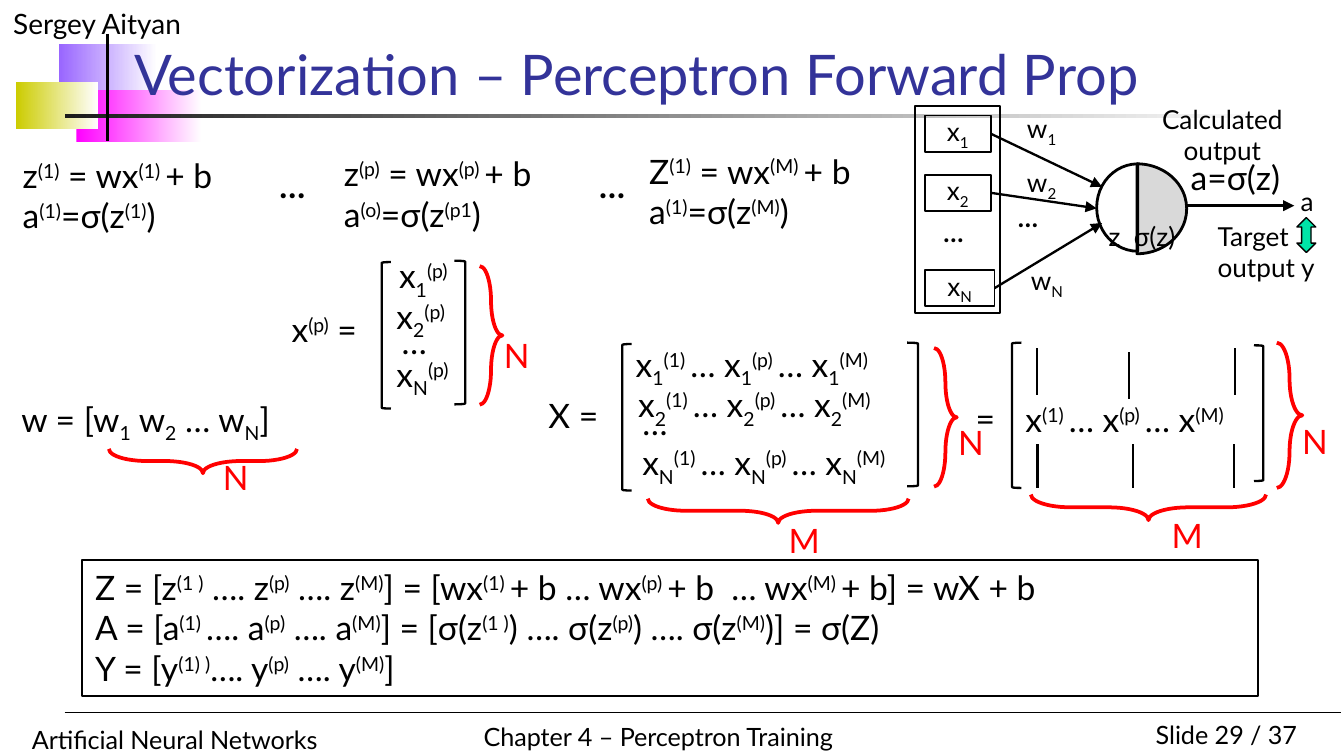
from lxml import etree
from pptx import Presentation
from pptx import util as u
from pptx.dml.color import RGBColor
from pptx.enum import shapes, text
from pptx.oxml.ns import qn

COLORS = {
    "black": "000000", "white": "FFFFFF", "title": "333399", "red": "FF0000",
    "violet": "9966FF", "magenta": "FF00FF", "olive": "CCCC00",
    "charcoal": "1C1C1C", "grey": "D9D9D9", "green": "00E4A8",
}
SHAPE = shapes.MSO_SHAPE
ALIGN = text.PP_ALIGN
BASELINES = {"^": "30000", "_": "-25000"}
DEFAULT_INSETS = (7.2, 3.6, 7.2, 3.6)
NO_INSETS = (0, 0, 0, 0)
TIGHT = (0, 0, 0, 2.9)
FLUSH = (0, 3.6, 0, 3.6)


def rgb(name):
    return RGBColor.from_string(COLORS[name])


class SlideBuilder:
    """Holds the type style and the slide being filled."""

    font = "Lato"

    def __init__(self, slide):
        self.slide = slide

    def set_text(self, shape, content, size=18, color="black", bold=False,
                 align=ALIGN.LEFT, insets=DEFAULT_INSETS, wrap=True,
                 anchor=text.MSO_ANCHOR.TOP):
        """Pieces split by | are raised after ^ and lowered after _."""
        frame = shape.text_frame
        frame.word_wrap = wrap
        frame.vertical_anchor = anchor
        (frame.margin_left, frame.margin_top,
         frame.margin_right, frame.margin_bottom) = map(u.Pt, insets)
        for index, line in enumerate(content.split("\n")):
            paragraph = frame.add_paragraph() if index else frame.paragraphs[0]
            paragraph.alignment = align
            paragraph.font.name = self.font
            paragraph.font.size = u.Pt(size)
            paragraph.font.bold = bold
            paragraph.font.color.rgb = rgb(color)
            for piece in line.split("|"):
                run = paragraph.add_run()
                baseline = BASELINES.get(piece[0])
                run.text = piece[1:] if baseline else piece
                if baseline:
                    run._r.get_or_add_rPr().set("baseline", baseline)

    def label(self, content, left, top, width, height=28.8, **style):
        box = self.slide.shapes.add_textbox(*map(u.Pt, (left, top, width, height)))
        self.set_text(box, content, **style)

    def shape(self, kind, box, fill=None, line=None, weight=1.25,
              adjustments=(), rotation=0):
        shape = self.slide.shapes.add_shape(kind, *map(u.Pt, box))
        shape.shadow.inherit = False
        shape.rotation = rotation
        for index, value in enumerate(adjustments):
            shape.adjustments[index] = value
        if fill:
            shape.fill.solid()
            shape.fill.fore_color.rgb = rgb(fill)
        else:
            shape.fill.background()
        if line:
            shape.line.color.rgb = rgb(line)
            shape.line.width = u.Pt(weight)
        else:
            shape.line.fill.background()
        return shape

    def fade(self, color, box):
        shape = self.shape(SHAPE.RECTANGLE, box)
        shape.fill.gradient()
        shape.fill.gradient_angle = 0
        for stop, name in zip(shape.fill.gradient_stops, (color, "white")):
            stop.color.rgb = rgb(name)

    def brace(self, box, name, name_left, name_top, rotation=0):
        self.shape(SHAPE.RIGHT_BRACE, box, line="red", weight=2,
                   adjustments=(1.559, 0.5), rotation=rotation)
        self.label(name, name_left, name_top, 27, color="red")

    def brackets(self, left_box, right_box):
        self.shape(SHAPE.LEFT_BRACKET, left_box, line="black")
        self.shape(SHAPE.RIGHT_BRACKET, right_box, line="black")

    def line(self, x1, y1, x2, y2, weight=1.25, arrow=False, source=None):
        connector = self.slide.shapes.add_connector(
            shapes.MSO_CONNECTOR.STRAIGHT, *map(u.Pt, (x1, y1, x2, y2)))
        connector.line.color.rgb = rgb("black")
        connector.line.width = u.Pt(weight)
        if arrow:
            etree.SubElement(connector.line._get_or_add_ln(),
                             qn("a:tailEnd"), type="triangle")
        etree.SubElement(connector._element.spPr, qn("a:effectLst"))
        if source:
            connector.begin_connect(source, 3)


presentation = Presentation()
presentation.slide_width = u.Pt(720)
presentation.slide_height = u.Pt(405)
builder = SlideBuilder(presentation.slides.add_slide(presentation.slide_layouts[6]))

# Corner decoration, header and footer
for color, box in (("violet", (31.7, 23.8, 52.6, 28.1)),
                   ("magenta", (41, 48.2, 67, 28.1)),
                   ("olive", (8.6, 43.9, 43.9, 25.2)),
                   ("charcoal", (34.6, 61.2, 648, 2.2))):
    builder.fade(color, box)
builder.label("Sergey Aityan", 0, 0, 180, 25, size=15)
builder.label("Slide 29 / 37", 594, 381.6, 108, 24, size=13.5, align=ALIGN.RIGHT)
builder.label("Artificial Neural Networks", 10, 384.5, 266, 24, size=13.5)
builder.label("Chapter 4 – Perceptron Training", 252, 383, 206, 24, size=13.5, wrap=False)
builder.line(34.6, 381.6, 718.6, 381.6, weight=0.75)
builder.line(57.6, 18, 57.6, 75.6, weight=2)
builder.label("Vectorization – Perceptron Forward Prop", 64.8, 21.6, 592, 39,
              size=30, color="title", anchor=text.MSO_ANCHOR.BOTTOM)

# Equations for single samples
for content, left, top in (
        ("z|^(1)| = wx|^(1) |+ b\na|^(1)|=σ(z|^(1)|)", 12.2, 82.8),
        ("z|^(p)| = wx|^(p) |+ b\na|^(o)|=σ(z|^(p1|)", 184.3, 82.1),
        ("Z|^(1)| = wx|^(M) |+ b\na|^(1)|=σ(z|^(M)|)", 347.8, 80.6)):
    builder.label(content, left, top, 150, 46, insets=TIGHT)
for left in (142.6, 313.9):
    builder.label("…", left, 85, 44, bold=True)

# Vectorized result
result = builder.shape(SHAPE.RECTANGLE, (43.9, 300.2, 630, 72.7), line="black", weight=1)
builder.set_text(result, "\n".join((
    "Z = [z|^(1 )| …. z|^(p)| …. z|^(M)|] = [wx|^(1) |+ b … wx|^(p) |+ b  … wx|^(M) |+ b] = wX + b",
    "A = [a|^(1) |…. a|^(p)| …. a|^(M)|] = [σ(z|^(1 )|) …. σ(z|^(p)|) …. σ(z|^(M)|)] = σ(Z)",
    "Y = [y|^(1) )|…. y|^(p)| …. y|^(M)|]")))

# Matrix X by elements
builder.brace((500.4, 186.5, 12.2, 74.2), "N", 506.2, 222.5)
builder.brace((410.4, 203.8, 13, 139.7), "M", 415.4, 275, rotation=90)
builder.label("X =", 293.8, 208, 33.8, insets=FLUSH)
builder.brackets((333.4, 184.3, 5, 78.5), (486, 183.6, 5.8, 77))
builder.label("…", 337, 211.7, 24)
for row, left, top in (("1", 333.4, 180.7), ("2", 334.8, 202.3), ("N", 337, 233.3)):
    content = " |… ".join(f"x|_{row}|^({column})" for column in "1pM")
    builder.label(content, left, top, 161)

# Matrix X by columns
builder.brace((684, 183.6, 13.7, 77.8), "N", 690.5, 221.8)
builder.brace((608.4, 208.8, 13.7, 126), "M", 620.6, 272.2, rotation=90)
builder.label("=", 522.7, 209.5, 26, insets=FLUSH)
builder.brackets((542.2, 183.6, 5, 77.8), (671.8, 185, 5, 72.7))
for upper_x, upper_y, lower_x in ((555.4, 186.5, 555.8), (604.8, 188.6, 607),
                                  (661.7, 186.5, 661)):
    builder.line(upper_x, upper_y, upper_x, upper_y + 25)
    builder.line(lower_x, 238, lower_x, 261.4)
builder.label("x|^(1) |… x|^(p) |… x|^(M)", 542.2, 210.2, 137.5)

# Sample vector
builder.brace((257, 142.6, 12.2, 74.2), "N", 262.8, 175.7)
builder.label("x|^(p)| =", 156.2, 165.6, 46.8, 21.6, insets=NO_INSETS)
builder.brackets((204.5, 140.4, 5, 78.5), (243.4, 139.7, 5.8, 77))
builder.label("…", 208.1, 168.5, 23.8)
for row, left, top in (("1", 213.8, 136.8), ("2", 212.4, 158.4), ("N", 212.4, 189.4)):
    builder.label(f"x|_{row}|^(p)", left, top, 42, 21.6, insets=NO_INSETS)

# Weight vector
builder.label("w = [w|_1| w|_2| … w|_N|]", 11.5, 210.2, 168.5, insets=FLUSH)
builder.brace((102.2, 196.6, 13, 100.8), "N", 112.3, 241.2, rotation=90)

# Perceptron: inputs, weights and neuron
small = {"size": 14, "insets": NO_INSETS, "align": ALIGN.CENTER}
builder.shape(SHAPE.RECTANGLE, (490.3, 56.9, 45.4, 110.9), line="black")
for row, top, width, end in (("1", 61.9, 35.3, (590.4, 100.1)),
                             ("2", 93.6, 35.3, (587.5, 111.6)),
                             ("N", 144.7, 37.4, (590.4, 119.5))):
    box = builder.shape(SHAPE.RECTANGLE, (495.4, top, width, 19.4), line="black", weight=1)
    builder.set_text(box, f"x|_{row}", size=14, insets=TIGHT, align=ALIGN.CENTER)
    builder.line(495.4 + width, top + 9.7, *end, arrow=True, source=box)
for row, left, top, width in (("1", 545.8, 60.5, 24.5), ("2", 538.6, 89.3, 38.9),
                              ("N", 547.2, 141.8, 27.4)):
    builder.label(f"w|_{row}", left, top, width, 16.6, **small)
for left, top, width in ((493.9, 115.9, 33.8), (541.4, 108, 18.7)):
    builder.label("…", left, top, width, 16.6, bold=True, **small)
builder.shape(SHAPE.PIE, (582.5, 87.8, 53.3, 48.2), fill="grey", line="black",
              weight=1.5, adjustments=(162, 54))
neuron = builder.shape(SHAPE.PIE, (587.5, 87.8, 43.9, 46.8), line="black",
                       weight=1.5, adjustments=(54, 162))
builder.set_text(neuron, "z  σ(z)", size=14, insets=(0, 2.9, 0, 2.9), wrap=False,
                 anchor=text.MSO_ANCHOR.MIDDLE)

# Perceptron: output
builder.line(635.8, 110.2, 693.4, 110.2, weight=1.5, arrow=True)
builder.label("Calculated output", 622.1, 55.4, 65.5, 33.8, **small)
builder.label("Target output y", 652.3, 118.1, 61.9, 33.8, size=14, insets=NO_INSETS)
builder.label("a", 691.9, 99.4, 16.6, 16.6, **small)
builder.label("a=σ(z)", 637.9, 84.2, 61.9, 21.6, insets=NO_INSETS)
builder.shape(SHAPE.UP_DOWN_ARROW, (694.8, 116.6, 10.1, 18.7), fill="green",
              line="black", weight=0.75)

presentation.save("out.pptx")
